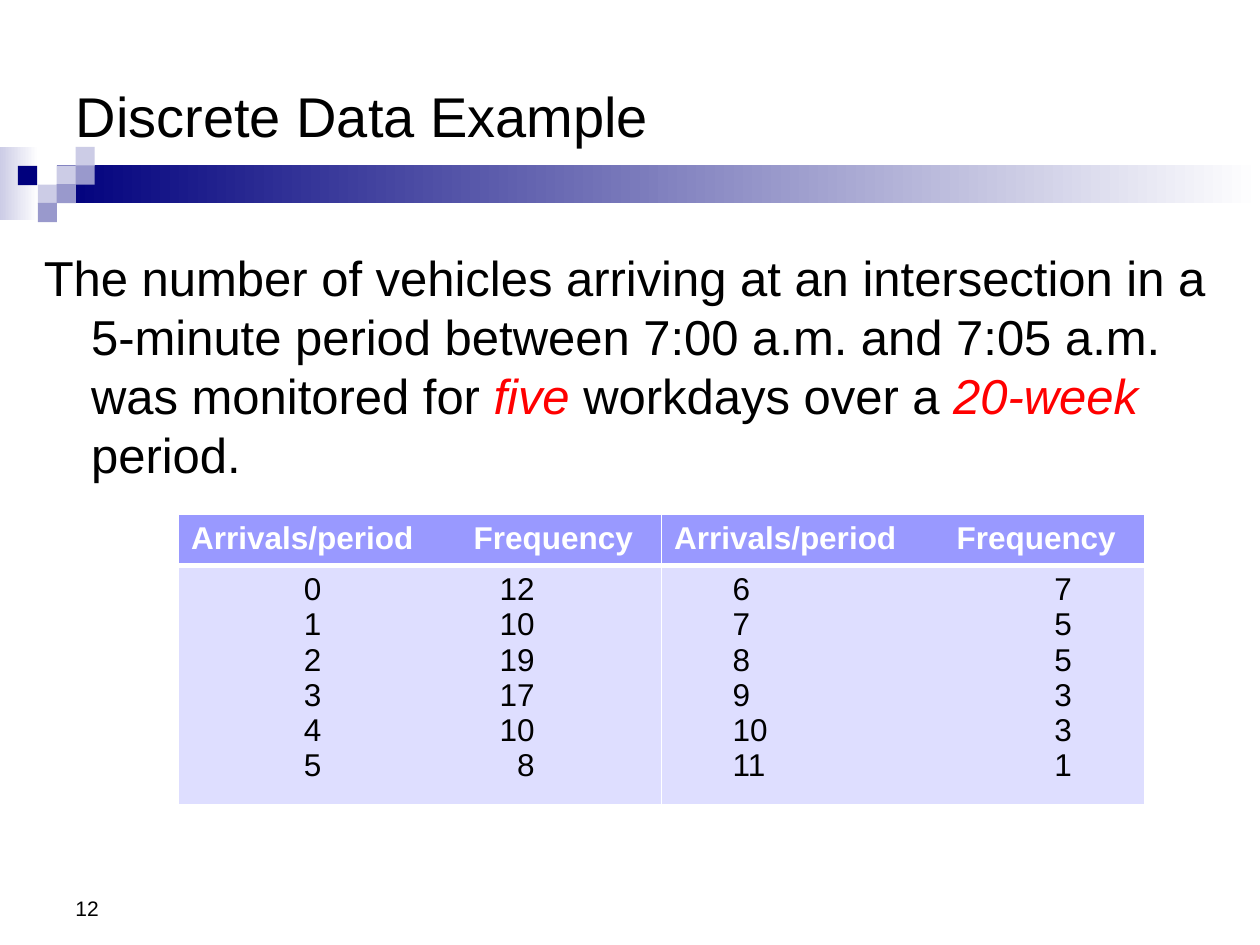
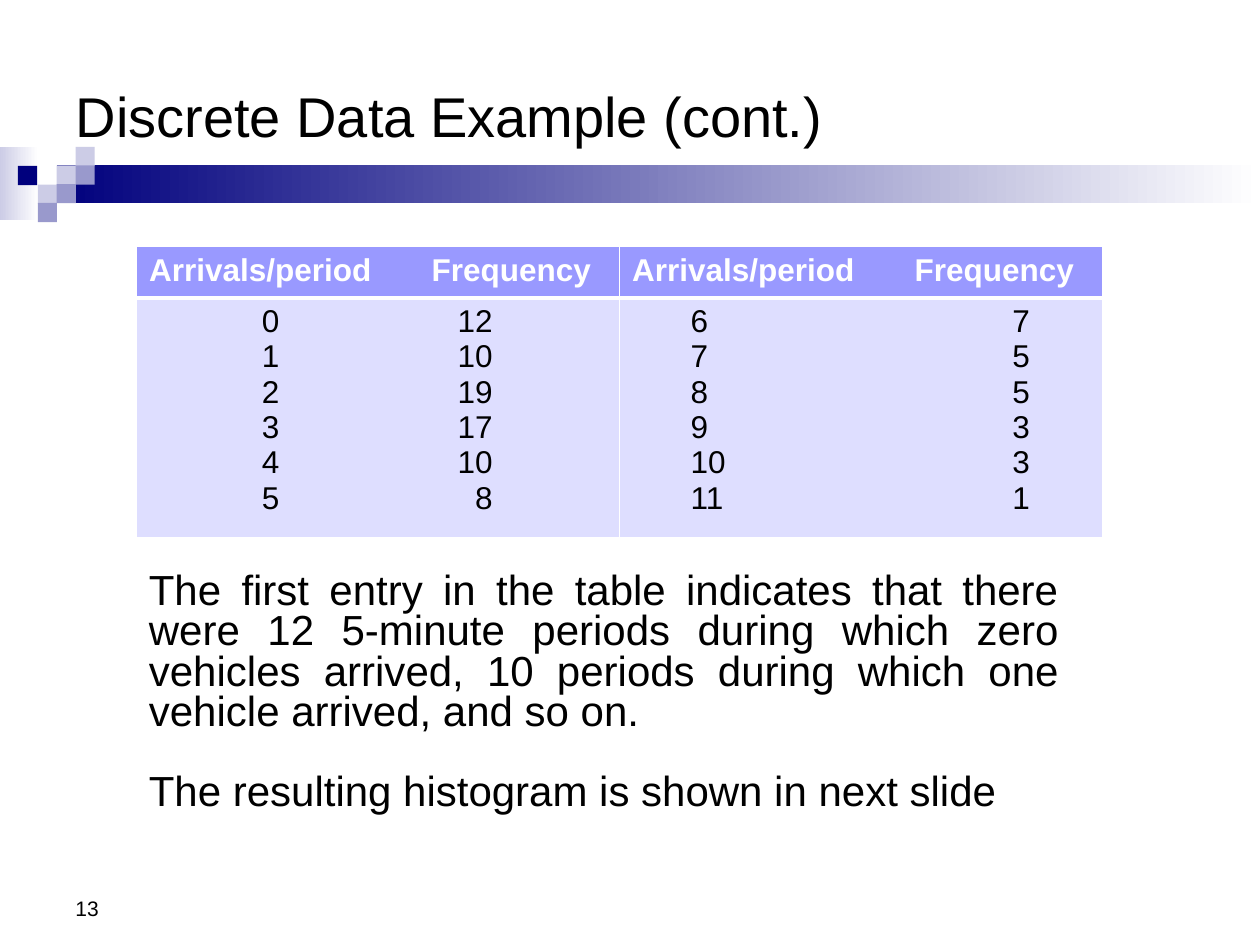
from dataclasses import dataclass
from typing import Any

from lxml.etree import SubElement
from pptx import Presentation
from pptx.dml.color import RGBColor
from pptx.enum.shapes import MSO_SHAPE
from pptx.enum.text import MSO_ANCHOR, PP_ALIGN
from pptx.oxml.ns import qn
from pptx.slide import Slide
from pptx.table import _Cell
from pptx.text.text import TextFrame, _Paragraph
from pptx.util import Pt

FONT = "Arial"
BLACK = "000000"
WHITE = "FFFFFF"
RED = "FF0000"
NAVY = "00007D"
PALE = "CCCCE6"
MIDDLE = "9999CC"
HEADER_FILL = "9999FF"
BODY_FILL = "DEDEFF"
SQUARE = 11
COLUMN_WIDTH = 276
CELL_INSET = 7.2
HEADER_TAB = 161.5


@dataclass(frozen=True)
class Box:
    left: float
    top: float
    width: float
    height: float

    def lengths(self) -> tuple[Pt, Pt, Pt, Pt]:
        return Pt(self.left), Pt(self.top), Pt(self.width), Pt(self.height)


@dataclass(frozen=True)
class Block:
    box: Box
    colors: tuple[str, ...]


@dataclass(frozen=True)
class Piece:
    text: str
    emphasized: bool = False


@dataclass(frozen=True)
class FrequencyColumn:
    rows: tuple[tuple[int, int], ...]
    indent: float
    tab: float


def square(left: float, top: float, color: str) -> Block:
    return Block(Box(left, top, SQUARE, SQUARE), (color,))


BLOCKS = (
    Block(Box(0, 84, 22, 42), (PALE, WHITE)),
    Block(Box(32.4, 94.5, 687.6, 21.5), (NAVY, WHITE)),
    square(32.4, 94.5, PALE),
    square(43.2, 84, PALE),
    square(43.2, 94.5, MIDDLE),
    square(21.6, 105.5, PALE),
    square(10.3, 94.8, NAVY),
    square(32.4, 105.2, MIDDLE),
    square(21.6, 116, MIDDLE),
)

FREQUENCIES = (
    FrequencyColumn(((0, 12), (1, 10), (2, 19), (3, 17), (4, 10), (5, 8)), 64.5, 196.3),
    FrequencyColumn(((6, 7), (7, 5), (8, 5), (9, 3), (10, 3), (11, 1)), 33.5, 227.4),
)


def rgb(color: str) -> RGBColor:
    return RGBColor.from_string(color)


def apply(target: Any, values: dict[str, Any]) -> None:
    for name, value in values.items():
        setattr(target, name, value)


def add_run(paragraph: _Paragraph, text: str, size: float, color: str = BLACK, **style: bool) -> None:
    run = paragraph.add_run()
    run.text = text
    apply(run.font, {"name": FONT, "size": Pt(size), **style})
    run.font.color.rgb = rgb(color)


def add_tab_stop(paragraph: _Paragraph, position: float, alignment: str) -> None:
    tabs = SubElement(paragraph._p.get_or_add_pPr(), qn("a:tabLst"))
    SubElement(tabs, qn("a:tab"), pos=str(Pt(position)), algn=alignment)


def add_text_frame(slide: Slide, box: Box) -> TextFrame:
    frame = slide.shapes.add_textbox(*box.lengths()).text_frame
    frame.word_wrap = True
    return frame


def add_block(slide: Slide, block: Block) -> None:
    shape = slide.shapes.add_shape(MSO_SHAPE.RECTANGLE, *block.box.lengths())
    shape.shadow.inherit = False
    shape.line.fill.background()
    if len(block.colors) == 1:
        shape.fill.solid()
        shape.fill.fore_color.rgb = rgb(block.colors[0])
        return
    shape.fill.gradient()
    shape.fill.gradient_angle = 0
    for position, (stop, color) in enumerate(zip(shape.fill.gradient_stops, block.colors)):
        stop.position = position
        stop.color.rgb = rgb(color)


def add_base_slide(presentation: Presentation, title: str, number: int) -> Slide:
    slide = presentation.slides.add_slide(presentation.slide_layouts[5])
    for block in BLOCKS:
        add_block(slide, block)
    shape = slide.shapes.title
    left, top, width, height = Box(36, 36, 648, 60).lengths()
    apply(shape, {"left": left, "top": top, "width": width, "height": height})
    apply(shape.text_frame, {"vertical_anchor": MSO_ANCHOR.MIDDLE, "word_wrap": True})
    paragraph = shape.text_frame.paragraphs[0]
    paragraph.alignment = PP_ALIGN.LEFT
    add_run(paragraph, title, 32)
    footer = add_text_frame(slide, Box(36, 492, 168, 37.5))
    footer.vertical_anchor = MSO_ANCHOR.BOTTOM
    add_run(footer.paragraphs[0], str(number), 12)
    return slide


def format_cell(cell: _Cell, fill: str, bottom: float, top: float) -> None:
    properties = cell._tc.get_or_add_tcPr()
    for side, width in {"L": 1, "R": 1, "T": top, "B": bottom}.items():
        line = SubElement(properties, qn(f"a:ln{side}"), w=str(Pt(width)))
        color = SubElement(SubElement(line, qn("a:solidFill")), qn("a:srgbClr"))
        color.set("val", WHITE)
    cell.fill.solid()
    cell.fill.fore_color.rgb = rgb(fill)


def add_frequency_table(slide: Slide, left: float, top: float) -> None:
    box = Box(left, top, COLUMN_WIDTH * len(FREQUENCIES), 156)
    table = slide.shapes.add_table(2, len(FREQUENCIES), *box.lengths()).table
    table.horz_banding = False
    for row, height in zip(table.rows, (29.2, 126.8)):
        row.height = Pt(height)
    for index, column in enumerate(FREQUENCIES):
        table.columns[index].width = Pt(COLUMN_WIDTH)
        header, body = table.cell(0, index), table.cell(1, index)
        format_cell(header, HEADER_FILL, bottom=3, top=1)
        format_cell(body, BODY_FILL, bottom=1, top=3)
        paragraph = header.text_frame.paragraphs[0]
        add_tab_stop(paragraph, HEADER_TAB, "l")
        add_run(paragraph, "Arrivals/period\tFrequency", 18, WHITE, bold=True)
        body.margin_left = Pt(CELL_INSET + column.indent)
        for position, (arrivals, frequency) in enumerate(column.rows):
            frame = body.text_frame
            paragraph = frame.add_paragraph() if position else frame.paragraphs[0]
            add_tab_stop(paragraph, column.tab - column.indent, "r")
            add_run(paragraph, f"{arrivals}\t{frequency}", 18, bold=False)


def add_introduction(slide: Slide, pieces: tuple[Piece, ...]) -> None:
    paragraph = add_text_frame(slide, Box(18, 138, 678, 324)).paragraphs[0]
    paragraph.space_before = Pt(5.6)
    properties = paragraph._p.get_or_add_pPr()
    for name, value in {"marL": 27, "indent": -27}.items():
        properties.set(name, str(Pt(value)))
    for piece in pieces:
        color = RED if piece.emphasized else BLACK
        add_run(paragraph, piece.text, 28, color, italic=piece.emphasized)


def add_explanation(slide: Slide, explanation: str, outlook: str) -> None:
    frame = add_text_frame(slide, Box(78, 324, 534, 147))
    first, second = frame.paragraphs[0], frame.add_paragraph()
    apply(first, {"alignment": PP_ALIGN.JUSTIFY, "line_spacing": 0.8})
    apply(second, {"line_spacing": 0.8, "space_before": Pt(23)})
    add_run(first, explanation, 24)
    add_run(second, outlook, 24)


def main() -> None:
    presentation = Presentation()
    apply(presentation, {"slide_width": Pt(720), "slide_height": Pt(540)})

    example = add_base_slide(presentation, "Discrete Data Example", 12)
    add_introduction(example, (
        Piece("The number of vehicles arriving at an intersection in a 5-minute period "
              "between 7:00 a.m. and 7:05 a.m. was monitored for "),
        Piece("five", True),
        Piece(" workdays over a "),
        Piece("20-week ", True),
        Piece("period."),
    ))
    add_frequency_table(example, 102, 294)

    continued = add_base_slide(presentation, "Discrete Data Example (cont.)", 13)
    add_frequency_table(continued, 78, 141)
    add_explanation(
        continued,
        "The first entry in the table indicates that there were 12 5-minute periods during "
        "which zero vehicles arrived, 10 periods during which one vehicle arrived, and so on.",
        "The resulting histogram is shown in next slide",
    )
    presentation.save("out.pptx")


main()
